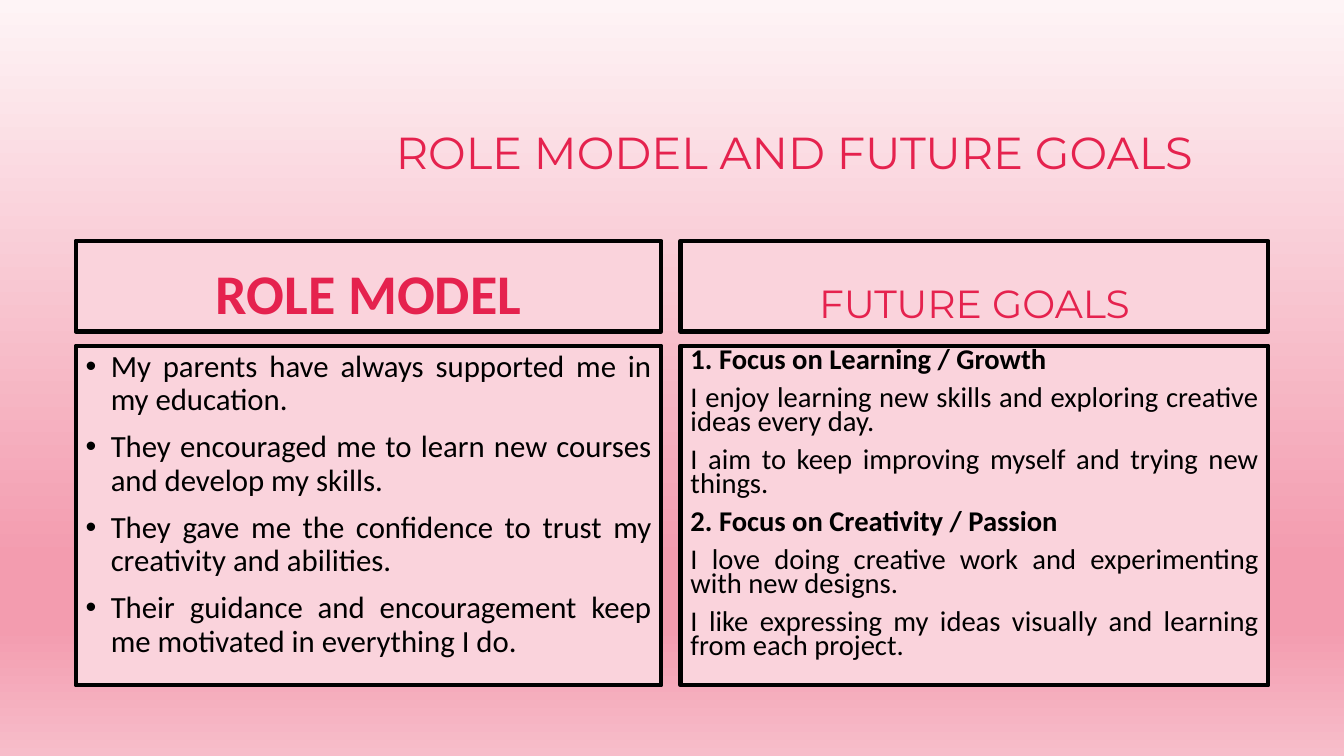
from lxml.etree import SubElement
from pptx import Presentation
from pptx.dml.color import RGBColor
from pptx.enum.shapes import MSO_SHAPE
from pptx.enum.text import MSO_ANCHOR, PP_ALIGN
from pptx.oxml.ns import qn
from pptx.util import Inches, Pt

ROSE = RGBColor(0xE5, 0x22, 0x4E)
BLUSH = RGBColor(0xFA, 0xD3, 0xDC)
BLACK = RGBColor(0, 0, 0)
BACKGROUND_STOPS = [
    (0, RGBColor(0xFE, 0xF4, 0xF6)),
    (74, RGBColor(0xF3, 0x9C, 0xAF)),
    (83, RGBColor(0xF3, 0x9C, 0xAF)),
    (100, RGBColor(0xF7, 0xBD, 0xCA)),
]

HEADING_TOP, HEADING_HEIGHT = 2.39, 0.9
BODY_TOP, BODY_HEIGHT = 3.43, 3.37
LEFT_COLUMN = (0.75, 5.81)
RIGHT_COLUMN = (6.75, 5.83)

ROLE_MODEL = [
    "My parents have always supported me in my education.",
    "They encouraged me to learn new courses and develop my skills.",
    "They gave me the confidence to trust my creativity and abilities.",
    "Their guidance and encouragement keep me motivated in everything I do.",
]
FUTURE_GOALS = [
    ("1. Focus on Learning / Growth", True),
    ("I enjoy learning new skills and exploring creative ideas every day.", False),
    ("I aim to keep improving myself and trying new things.", False),
    ("2. Focus on Creativity / Passion", True),
    ("I love doing creative work and experimenting with new designs.", False),
    ("I like expressing my ideas visually and learning from each project.", False),
]


def write(frame, text, first=False, size=22, font="Calibri", color=BLACK, bold=False,
          align=PP_ALIGN.JUSTIFY, spacing=0.9, bullet=False):
    """Write one formatted paragraph into a text frame."""
    para = frame.paragraphs[0] if first else frame.add_paragraph()
    para.alignment = align
    para.line_spacing = spacing
    para.space_before = Pt(0 if first else 10)
    if bullet:
        properties = para._p.get_or_add_pPr()
        properties.set("marL", str(Inches(0.25)))
        properties.set("indent", str(-Inches(0.25)))
        SubElement(properties, qn("a:buFont")).set("typeface", "Arial")
        SubElement(properties, qn("a:buChar")).set("char", "•")
    span = para.add_run()
    span.text = text
    span.font.size = Pt(size)
    span.font.name = font
    span.font.bold = bold
    span.font.color.rgb = color


class GoalsPage:
    def __init__(self, deck):
        self.page = deck.slides.add_slide(deck.slide_layouts[5])

    def background(self, stops):
        fill = self.page.background.fill
        fill.gradient()
        fill.gradient_angle = 270
        stop_list = self.page.background._cSld.find(".//" + qn("a:gsLst"))
        for old_stop in list(stop_list):
            stop_list.remove(old_stop)
        for percent, color in stops:
            stop = SubElement(stop_list, qn("a:gs"), pos=str(percent * 1000))
            SubElement(stop, qn("a:srgbClr"), val=str(color))

    def title(self, text, left, top, width, height):
        box = self.page.shapes.title
        box.left, box.top = Inches(left), Inches(top)
        box.width, box.height = Inches(width), Inches(height)
        box.text_frame.word_wrap = True
        box.text_frame.vertical_anchor = MSO_ANCHOR.MIDDLE
        write(box.text_frame, text, first=True, size=32, font="Montserrat",
              color=ROSE, align=PP_ALIGN.CENTER)

    def panel(self, column, top, height, anchor):
        left, width = column
        box = self.page.shapes.add_shape(MSO_SHAPE.RECTANGLE, Inches(left), Inches(top),
                                         Inches(width), Inches(height))
        box.shadow.inherit = False
        box.fill.solid()
        box.fill.fore_color.rgb = BLUSH
        box.line.color.rgb = BLACK
        box.line.width = Pt(3)
        box.text_frame.word_wrap = True
        box.text_frame.vertical_anchor = anchor
        return box.text_frame

    def heading(self, text, column, **style):
        frame = self.panel(column, HEADING_TOP, HEADING_HEIGHT, MSO_ANCHOR.BOTTOM)
        write(frame, text, first=True, color=ROSE, align=PP_ALIGN.CENTER, **style)

    def body(self, lines, column, **style):
        frame = self.panel(column, BODY_TOP, BODY_HEIGHT, MSO_ANCHOR.TOP)
        for index, (text, bold) in enumerate(lines):
            write(frame, text, first=index == 0, bold=bold, **style)


def main():
    deck = Presentation()
    deck.slide_width, deck.slide_height = Inches(13.33), Inches(7.5)
    goals = GoalsPage(deck)

    # Background and title
    goals.background(BACKGROUND_STOPS)
    goals.title("ROLE MODEL AND FUTURE GOALS", 3.17, 0.83, 9.42, 1.42)

    # Role model column
    goals.heading("ROLE MODEL", LEFT_COLUMN, size=40, bold=True)
    goals.body([(text, False) for text in ROLE_MODEL], LEFT_COLUMN, bullet=True)

    # Future goals column
    goals.heading("FUTURE GOALS", RIGHT_COLUMN, size=28, font="Montserrat")
    goals.body(FUTURE_GOALS, RIGHT_COLUMN, size=20.4, spacing=0.7)

    deck.save("out.pptx")


if __name__ == "__main__":
    main()
